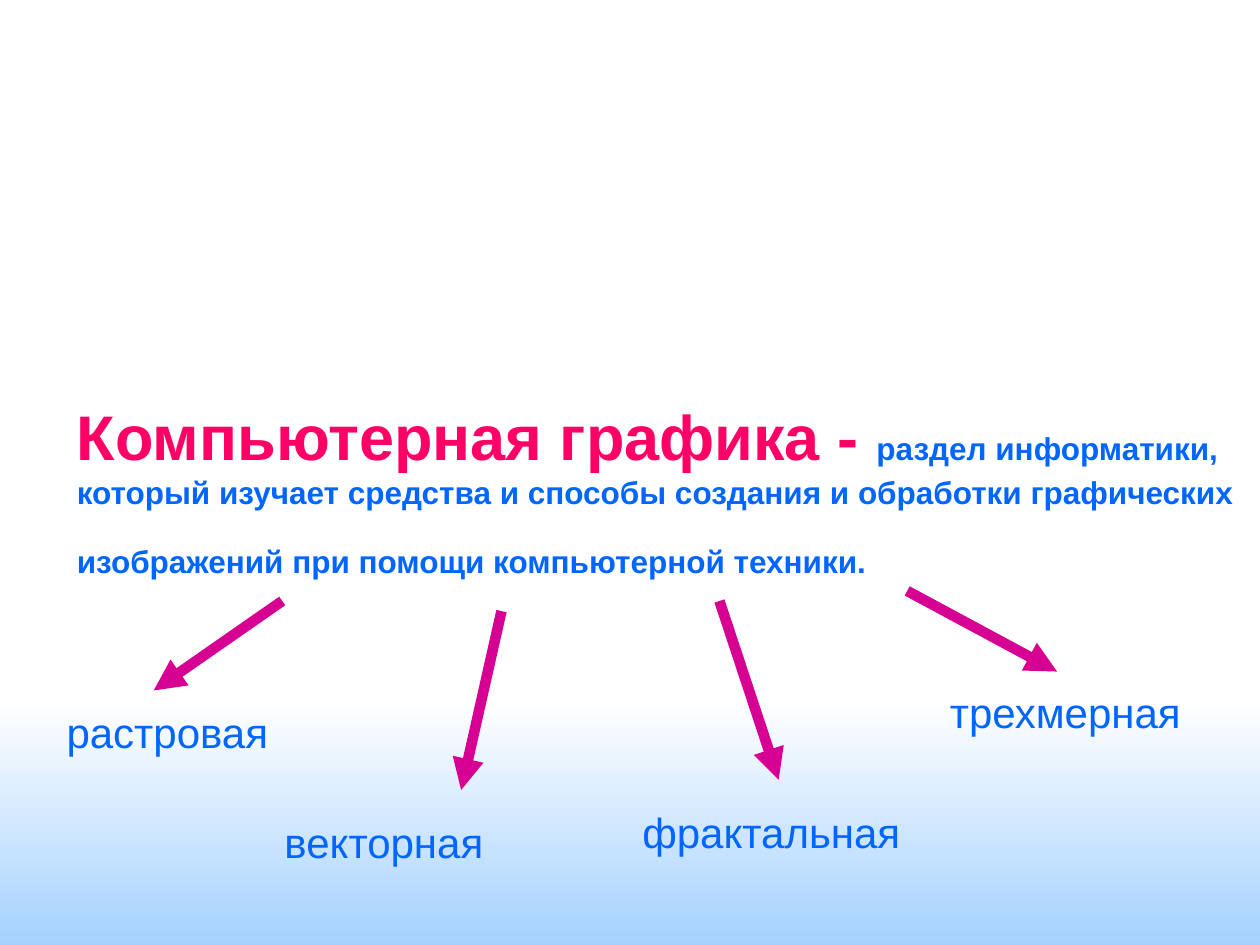
from dataclasses import dataclass

from lxml import etree
from pptx import Presentation
from pptx.dml.color import RGBColor
from pptx.enum.shapes import MSO_CONNECTOR, MSO_SHAPE
from pptx.enum.text import MSO_ANCHOR, MSO_AUTO_SIZE, PP_ALIGN
from pptx.oxml.ns import qn
from pptx.util import Inches, Pt

STRAIGHT = MSO_CONNECTOR.STRAIGHT
RECTANGLE = MSO_SHAPE.RECTANGLE
MIDDLE = MSO_ANCHOR.MIDDLE
TOP = MSO_ANCHOR.TOP
LEFT = PP_ALIGN.LEFT
NO_FIT = MSO_AUTO_SIZE.NONE


@dataclass(frozen=True)
class Theme:
    font: str = "Arial"
    term: str = "FF0066"
    text: str = "0066FF"
    arrow: str = "D60093"
    sky_top: str = "FFFFFF"
    sky_bottom: str = "99CCFF"
    term_size: int = 36
    text_size: int = 18
    label_size: int = 24
    arrow_width: int = 6


THEME = Theme()

TERM = "Компьютерная графика - "
DEFINITION = (
    "раздел информатики, который изучает средства и способы создания и "
    "обработки графических изображений при помощи компьютерной техники."
)
KINDS = [
    ("растровая", (0.43, 5.56, 1.97, 0.5), (2.24, 4.77), (1.22, 5.48)),
    ("векторная", (2.16, 6.43, 1.97, 0.5), (3.98, 4.85), (3.66, 6.27)),
    ("фрактальная", (5, 6.35, 2.36, 0.5), (5.71, 4.77), (6.18, 6.19)),
    ("трехмерная", (7.44, 5.4, 2.2, 0.5), (7.2, 4.69), (8.39, 5.33)),
]


def inches(values):
    return [Inches(v) for v in values]


def add_text(p, text, size, color, bold=False):
    r = p.add_run()
    r.text = text
    r.font.name = THEME.font
    r.font.size = Pt(size)
    r.font.bold = bold
    r.font.color.rgb = RGBColor.from_string(color)


def format_frame(tf, anchor):
    tf.word_wrap = True
    tf.auto_size = NO_FIT
    tf.vertical_anchor = anchor
    tf.margin_left = tf.margin_right = Inches(0.1)
    tf.margin_top = tf.margin_bottom = Inches(0.05)
    p = tf.paragraphs[0]
    p.alignment = LEFT
    return p


def add_sky(slide, box):
    sp = slide.shapes.add_shape(RECTANGLE, *inches(box))
    sp.shadow.inherit = False
    sp.line.fill.background()
    sp.fill.gradient()
    sp.fill.gradient_angle = 270
    for stop, color in zip(sp.fill.gradient_stops, (THEME.sky_top, THEME.sky_bottom)):
        stop.color.rgb = RGBColor.from_string(color)
    slide.shapes.element.insert(2, sp.element)


def add_definition(slide, box):
    sp = slide.shapes.title
    sp.left, sp.top, sp.width, sp.height = inches(box)
    p = format_frame(sp.text_frame, MIDDLE)
    add_text(p, TERM, THEME.term_size, THEME.term, bold=True)
    add_text(p, DEFINITION, THEME.text_size, THEME.text, bold=True)
    add_text(p, " ", THEME.term_size, THEME.term)


def add_arrow(slide, start, end):
    line = slide.shapes.add_connector(STRAIGHT, *inches(start + end))
    line.line.color.rgb = RGBColor.from_string(THEME.arrow)
    line.line.width = Pt(THEME.arrow_width)
    etree.SubElement(line.line._get_or_add_ln(), qn("a:tailEnd"), type="triangle")
    etree.SubElement(line.element.spPr, qn("a:effectLst"))


def add_kind(slide, name, box, start, end):
    add_arrow(slide, start, end)
    sp = slide.shapes.add_textbox(*inches(box))
    p = format_frame(sp.text_frame, TOP)
    add_text(p, name, THEME.label_size, THEME.text)


def main():
    prs = Presentation()
    prs.slide_width, prs.slide_height = Inches(10), Inches(7.5)
    slide = prs.slides.add_slide(prs.slide_layouts[5])
    add_sky(slide, (0, 5.56, 10, 2.18))
    add_definition(slide, (0.51, 3.04, 9.49, 1.73))
    for kind in KINDS:
        add_kind(slide, *kind)
    prs.save("out.pptx")


if __name__ == "__main__":
    main()
